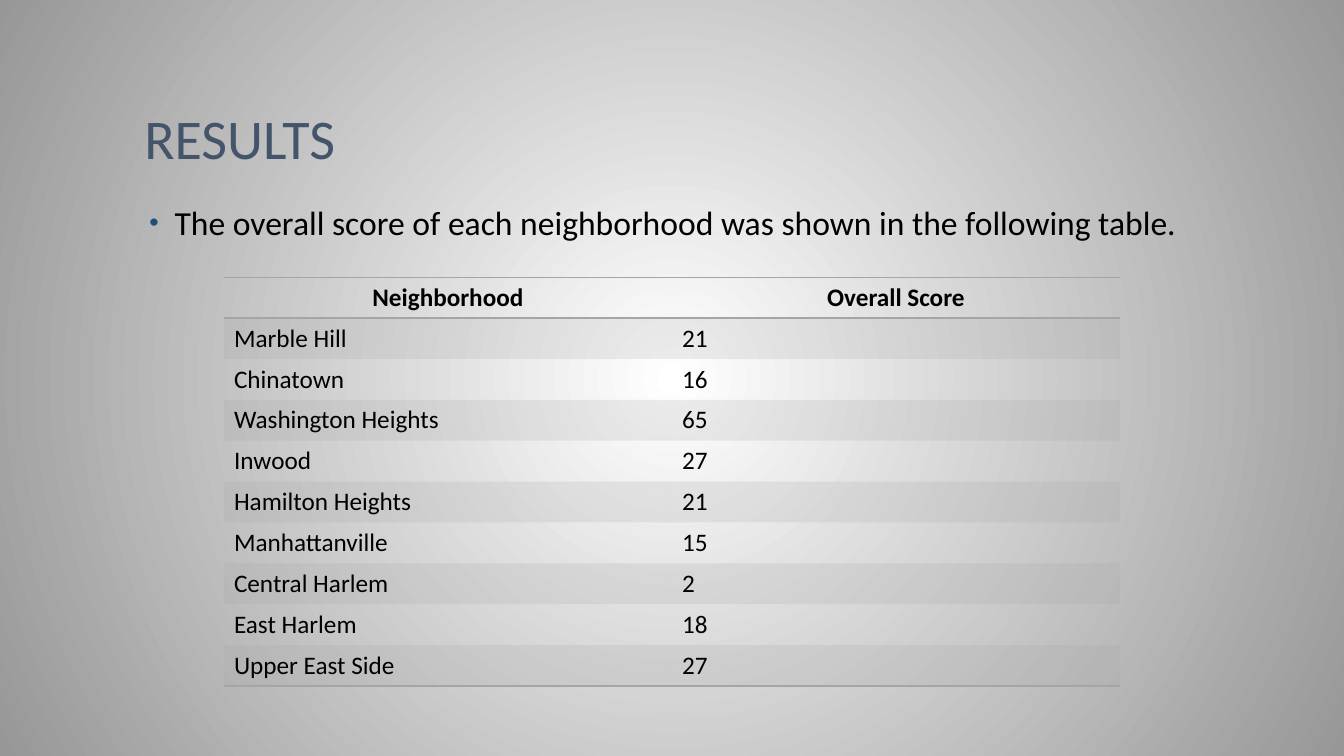
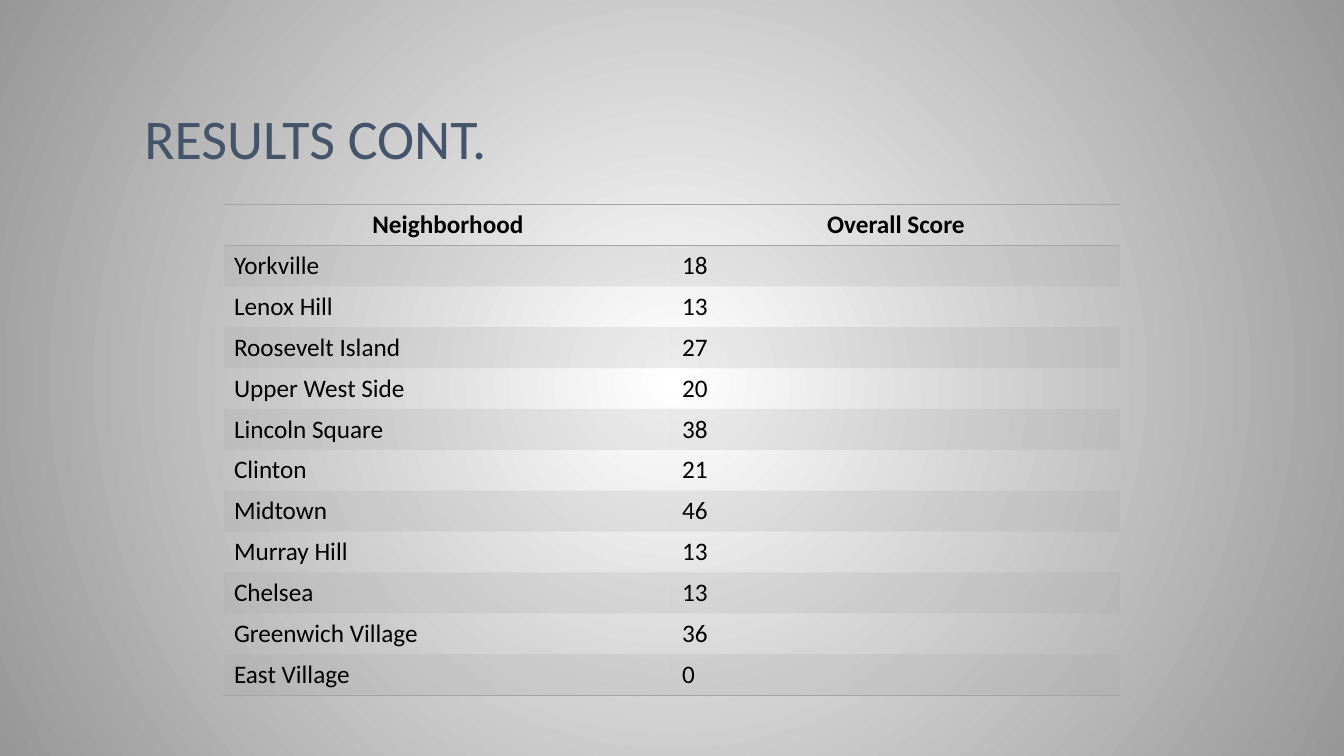
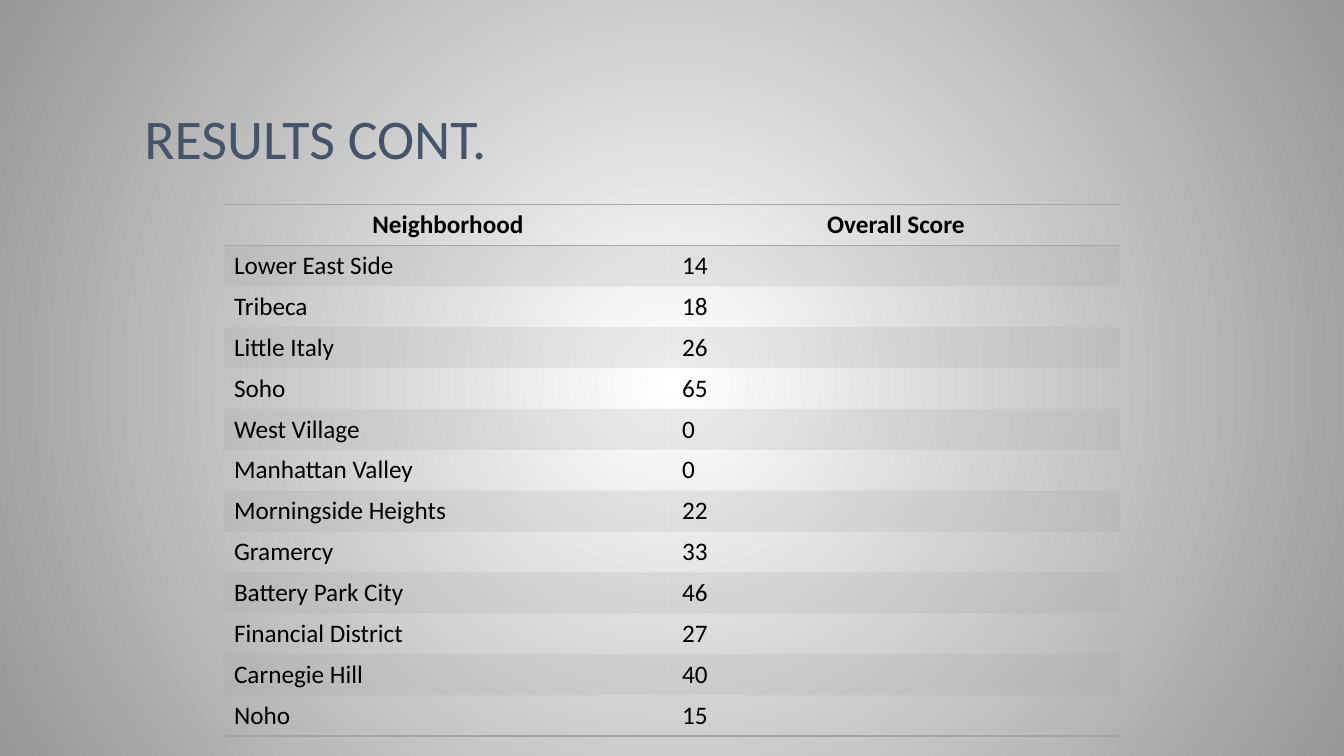
import pptx
import pptx.dml.color
import pptx.enum.text
import pptx.oxml
import pptx.oxml.ns
import pptx.util

# Shared look
COLORS = {
    "title": "44546A",
    "text": "000000",
    "bullet": "1F4E79",
    "table": "A5A5A5",
    "center": "FFFFFF",
    "edge": "979797",
}
FONT = "Calibri"
WIDTH, HEIGHT = pptx.util.Inches(40 / 3), pptx.util.Inches(7.5)
MARGIN = WIDTH // 10
TABLE_LEFT = WIDTH // 6
ROW_HEIGHT = pptx.util.Pt(29.2)
PLAIN_TABLE_STYLE = "{2D5ABB26-0587-4C30-8999-92F81FD0307C}"
HEADINGS = ("Neighborhood", "Overall Score")
ALIGN = pptx.enum.text.PP_ALIGN
ANCHOR = pptx.enum.text.MSO_ANCHOR

# Content: title, statement, table top in inches, scores
RESULTS = [
    ("RESULTS",
     "The overall score of each neighborhood was shown in the following table.",
     2.75,
     [("Marble Hill", 21), ("Chinatown", 16), ("Washington Heights", 65),
      ("Inwood", 27), ("Hamilton Heights", 21), ("Manhattanville", 15),
      ("Central Harlem", 2), ("East Harlem", 18), ("Upper East Side", 27)]),
    ("RESULTS CONT.", None, 2.03,
     [("Yorkville", 18), ("Lenox Hill", 13), ("Roosevelt Island", 27),
      ("Upper West Side", 20), ("Lincoln Square", 38), ("Clinton", 21),
      ("Midtown", 46), ("Murray Hill", 13), ("Chelsea", 13),
      ("Greenwich Village", 36), ("East Village", 0)]),
    ("RESULTS CONT.", None, 2.03,
     [("Lower East Side", 14), ("Tribeca", 18), ("Little Italy", 26),
      ("Soho", 65), ("West Village", 0), ("Manhattan Valley", 0),
      ("Morningside Heights", 22), ("Gramercy", 33),
      ("Battery Park City", 46), ("Financial District", 27),
      ("Carnegie Hill", 40), ("Noho", 15)]),
]


def xml(markup):
    """Parse one DrawingML element."""
    tag, rest = markup[1:].split(" ", 1)
    return pptx.oxml.parse_xml(
        f"<{tag} {pptx.oxml.ns.nsdecls('a')} {rest}")


def write(frame, text, size=18, color="text", bold=False, align=ALIGN.LEFT,
          spacing=1.0):
    """Put formatted text in a frame and return its paragraph."""
    paragraph = frame.paragraphs[0]
    paragraph.alignment = align
    paragraph.line_spacing = spacing
    run = paragraph.add_run()
    run.text = text
    run.font.name = FONT
    run.font.size = pptx.util.Pt(size)
    run.font.bold = bold
    run.font.color.rgb = pptx.dml.color.RGBColor.from_string(COLORS[color])
    return paragraph


def set_background(master):
    """Radial gradient, light in the middle, for every slide."""
    fill = master.background.fill
    fill.gradient()
    for stop, name, position in zip(fill.gradient_stops,
                                    ("center", "edge"), (0, 1)):
        stop.color.rgb = pptx.dml.color.RGBColor.from_string(COLORS[name])
        stop.position = position
    linear = next(master.element.cSld.iter(pptx.oxml.ns.qn("a:lin")))
    linear.getparent().replace(linear, xml(
        '<a:path path="circle"><a:fillToRect l="50000" t="50000" '
        'r="50000" b="50000"/></a:path>'))


def add_text_area(slide, top, height, anchor):
    """Text area between the side margins; top and height in inches."""
    frame = slide.shapes.add_textbox(
        MARGIN, pptx.util.Inches(top), WIDTH - 2 * MARGIN,
        pptx.util.Inches(height)).text_frame
    frame.word_wrap = True
    frame.vertical_anchor = anchor
    return frame


def add_title(slide, title):
    frame = add_text_area(slide, 0.3, 1.45, ANCHOR.BOTTOM)
    write(frame, title, size=40, color="title", spacing=0.9)


def add_statement(slide, statement):
    frame = add_text_area(slide, 2, 0.6, ANCHOR.TOP)
    paragraph = write(frame, statement, size=24, spacing=0.9)
    properties = paragraph._p.get_or_add_pPr()
    properties.set("marL", str(pptx.util.Inches(0.3)))
    properties.set("indent", str(pptx.util.Inches(-0.25)))
    for markup in (
            f'<a:buClr ><a:srgbClr val="{COLORS["bullet"]}"/></a:buClr>',
            '<a:buSzPct val="80000"/>',
            '<a:buFont typeface="Arial"/>',
            '<a:buChar char="•"/>'):
        properties.append(xml(markup))


def format_cell(cell, rules, banded):
    """Draw the given edges and, on banded rows, a translucent fill."""
    properties = cell._tc.get_or_add_tcPr()
    for edge in rules:
        properties.append(xml(
            f'<a:{edge} w="{pptx.util.Pt(1)}"><a:solidFill>'
            f'<a:srgbClr val="{COLORS["table"]}"/></a:solidFill></a:{edge}>'))
    if not banded:
        cell.fill.background()
        return
    cell.fill.solid()
    cell.fill.fore_color.rgb = pptx.dml.color.RGBColor.from_string(
        COLORS["table"])
    band = properties.find(pptx.oxml.ns.qn("a:solidFill"))
    band[0].append(xml('<a:alpha val="20000"/>'))


def add_score_table(slide, top, scores):
    rows = [HEADINGS, *scores]
    table = slide.shapes.add_table(
        len(rows), len(HEADINGS), TABLE_LEFT, pptx.util.Inches(top),
        WIDTH - 2 * TABLE_LEFT, ROW_HEIGHT * len(rows)).table
    table.horz_banding = False
    style = next(table._tbl.iter(pptx.oxml.ns.qn("a:tableStyleId")))
    style.text = PLAIN_TABLE_STYLE

    for index, values in enumerate(rows):
        heading = index == 0
        if heading:
            rules = ("lnT", "lnB")
        else:
            rules = ("lnB",) if index == len(rows) - 1 else ()
        table.rows[index].height = ROW_HEIGHT
        for column, value in enumerate(values):
            cell = table.cell(index, column)
            write(cell.text_frame, str(value), bold=heading,
                  align=ALIGN.CENTER if heading else ALIGN.LEFT)
            format_cell(cell, rules, banded=index % 2 == 1)


def main():
    deck = pptx.Presentation()
    deck.slide_width, deck.slide_height = WIDTH, HEIGHT
    set_background(deck.slide_master)
    blank = deck.slide_layouts[6]
    for title, statement, table_top, scores in RESULTS:
        slide = deck.slides.add_slide(blank)
        add_title(slide, title)
        if statement:
            add_statement(slide, statement)
        add_score_table(slide, table_top, scores)
    deck.save("out.pptx")


if __name__ == "__main__":
    main()
